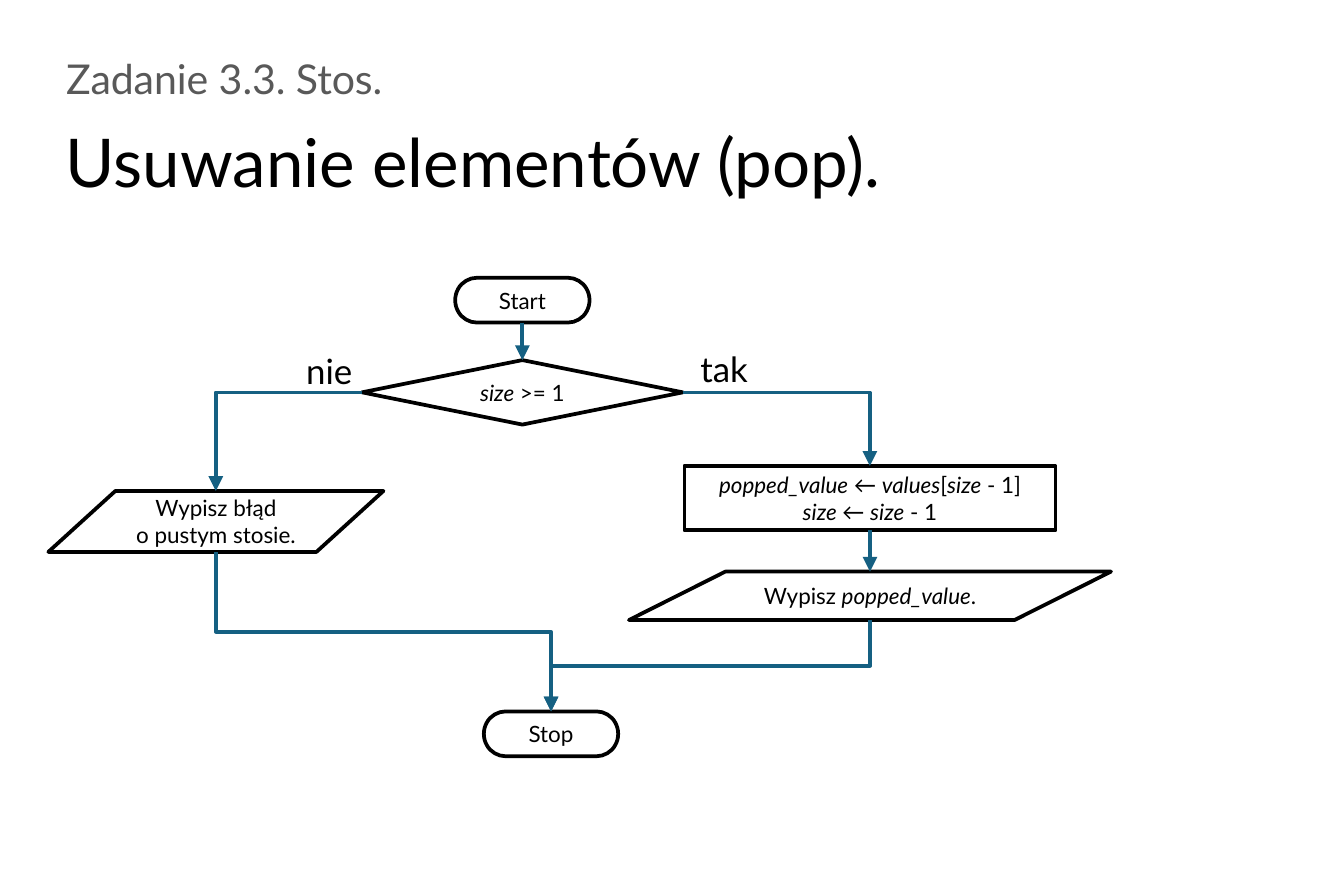
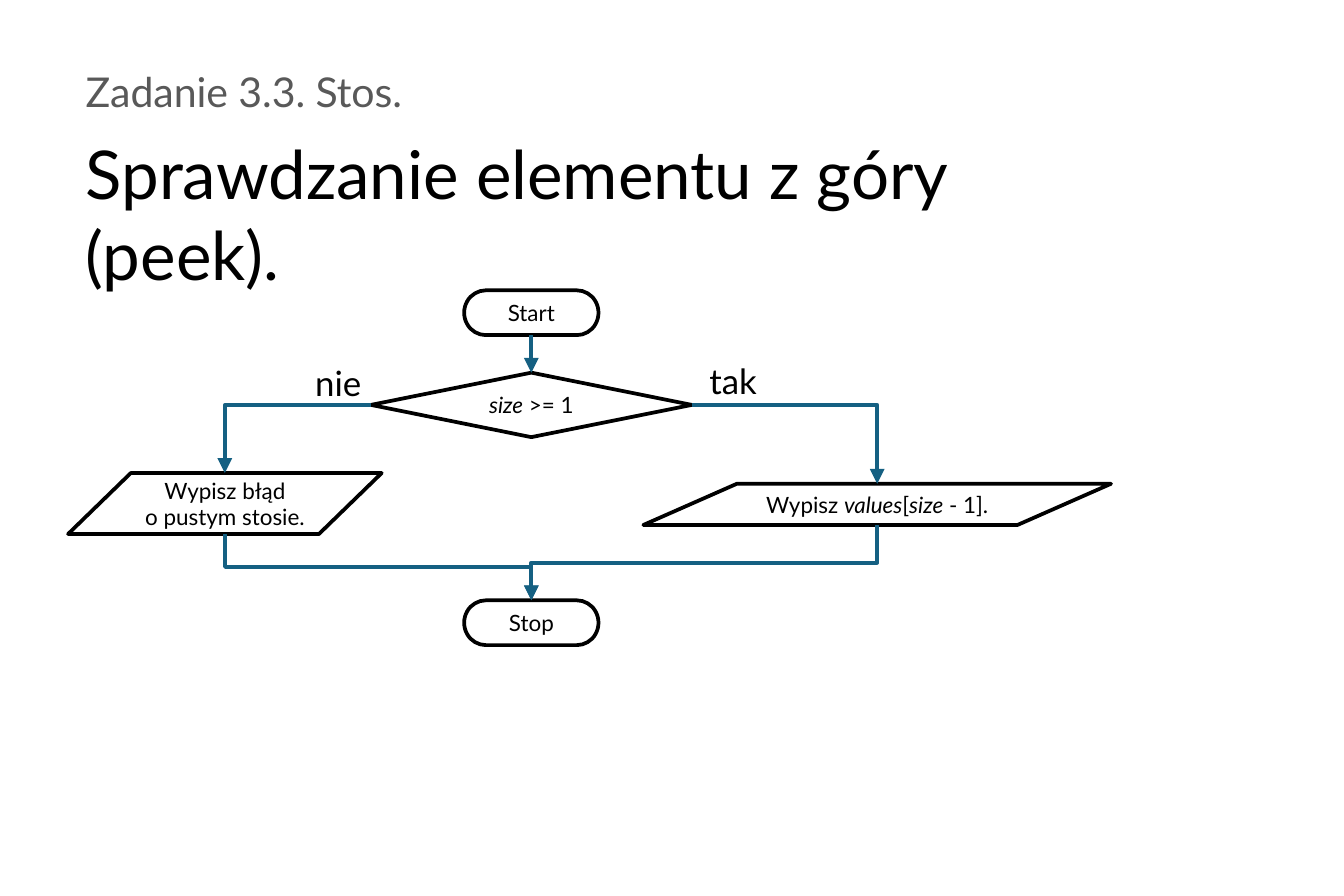
from lxml import etree
from pptx import Presentation
from pptx.dml.color import RGBColor
from pptx.enum.shapes import MSO_CONNECTOR, MSO_SHAPE
from pptx.enum.text import MSO_ANCHOR, PP_ALIGN
from pptx.oxml.ns import qn
from pptx.util import Inches, Pt

TERMINATOR = MSO_SHAPE.FLOWCHART_TERMINATOR
DECISION = MSO_SHAPE.FLOWCHART_DECISION
PROCESS = MSO_SHAPE.FLOWCHART_PROCESS
DATA = MSO_SHAPE.FLOWCHART_DATA
STRAIGHT = MSO_CONNECTOR.STRAIGHT
ELBOW = MSO_CONNECTOR.ELBOW
CENTER = PP_ALIGN.CENTER
LEFT = PP_ALIGN.LEFT
MIDDLE = MSO_ANCHOR.MIDDLE
TOP_SIDE, BOTTOM_SIDE = 0, 2

FONT = "Lato"
BLACK = "000000"
WHITE = "FFFFFF"
GRAY = "595959"
BLUE = "156082"
LINE_WIDTH = Pt(1.5)
TERMINATOR_WIDTH = 0.75
TERMINATOR_HEIGHT = 0.25
DECISION_WIDTH = 1.79
DECISION_HEIGHT = 0.36


def color(hex_value):
    return RGBColor.from_string(hex_value)


def write_text(frame, paragraphs, size, text_color, align):
    """Parts between asterisks become italic runs."""
    for index, content in enumerate(paragraphs):
        paragraph = frame.paragraphs[0] if index == 0 else frame.add_paragraph()
        paragraph.alignment = align
        for position, part in enumerate(content.split("*")):
            if part:
                run = paragraph.add_run()
                run.text = part
                run.font.name = FONT
                run.font.size = Pt(size)
                run.font.italic = position % 2 == 1
                run.font.color.rgb = color(text_color)


def add_label(slide, left, top, width, height, content, size, text_color=BLACK):
    label = slide.shapes.add_textbox(
        Inches(left), Inches(top), Inches(width), Inches(height))
    label.text_frame.word_wrap = True
    write_text(label.text_frame, [content], size, text_color, LEFT)


def add_step(slide, kind, left, top, width, height, *paragraphs):
    step = slide.shapes.add_shape(
        kind, Inches(left), Inches(top), Inches(width), Inches(height))
    step.shadow.inherit = False
    step.fill.solid()
    step.fill.fore_color.rgb = color(WHITE)
    step.line.color.rgb = color(BLACK)
    step.line.width = LINE_WIDTH
    step.text_frame.word_wrap = False
    step.text_frame.vertical_anchor = MIDDLE
    write_text(step.text_frame, paragraphs, 9, BLACK, CENTER)
    return step


def add_terminator(slide, left, top, content):
    return add_step(slide, TERMINATOR, left, top,
                    TERMINATOR_WIDTH, TERMINATOR_HEIGHT, content)


def add_arrow(slide, kind, x1, y1, x2, y2):
    arrow = slide.shapes.add_connector(kind, int(x1), int(y1), int(x2), int(y2))
    arrow.line.color.rgb = color(BLUE)
    arrow.line.width = LINE_WIDTH
    outline = arrow.line._get_or_add_ln()
    etree.SubElement(outline, qn("a:tailEnd"), type="triangle")
    etree.SubElement(arrow._element.spPr, qn("a:effectLst"))
    return arrow


def center_x(step):
    return step.left + step.width // 2


def bottom(step):
    return step.top + step.height


def connect_down(slide, source, target, join_target):
    arrow = add_arrow(slide, STRAIGHT, center_x(source), bottom(source),
                      center_x(target), target.top)
    arrow.begin_connect(source, BOTTOM_SIDE)
    if join_target:
        arrow.end_connect(target, TOP_SIDE)


def connect_branch(slide, decision, target):
    goes_right = center_x(target) > center_x(decision)
    corner = decision.left + (decision.width if goes_right else 0)
    arrow = add_arrow(slide, ELBOW, corner, decision.top + decision.height // 2,
                      center_x(target), target.top)
    arrow._element.spPr.find(qn("a:prstGeom")).set("prst", "bentConnector2")


def connect_merge(slide, source, stop):
    start_x, start_y = center_x(source), bottom(source)
    end_x, end_y = center_x(stop), stop.top
    middle_x, middle_y = (start_x + end_x) / 2, (start_y + end_y) / 2
    half_drop = (end_y - start_y) / 2
    half_run = abs(end_x - start_x) / 2
    goes_right = end_x > start_x
    reach = -half_drop if goes_right else half_drop
    arrow = add_arrow(slide, ELBOW, middle_x - reach, middle_y - half_run,
                      middle_x + reach, middle_y + half_run)
    quarter_turns = 3 if goes_right else 1
    arrow._element.spPr.find(qn("a:xfrm")).set("rot", str(quarter_turns * 5400000))


def add_heading(slide, left, top, width, title):
    add_label(slide, left, top, 1.99, 0.38, "Zadanie 3.3. Stos.", 16.5, GRAY)
    add_label(slide, left, top + 0.37, width, 0.56, title, 27)


def add_size_check(slide, left, top):
    start = add_terminator(slide, left, top, "Start")
    decision = add_step(
        slide, DECISION, left + (TERMINATOR_WIDTH - DECISION_WIDTH) / 2, top + 0.46,
        DECISION_WIDTH, DECISION_HEIGHT, "*size* >= 1")
    connect_down(slide, start, decision, True)
    add_label(slide, left - 0.93, top + 0.35, 0.52, 0.34, "nie", 14)
    add_label(slide, left + 1.27, top + 0.34, 0.52, 0.34, "tak", 14)
    return decision


def add_error_output(slide, left, top, width):
    return add_step(slide, DATA, left, top, width, 0.34,
                    "Wypisz błąd", "o pustym stosie.")


def connect_branches(slide, decision, error, first_step, result, stop):
    connect_branch(slide, decision, error)
    connect_branch(slide, decision, first_step)
    connect_merge(slide, error, stop)
    connect_merge(slide, result, stop)


def build_pop(slide):
    add_heading(slide, 0.27, 0.25, 4.77, "Usuwanie elementów (pop).")
    decision = add_size_check(slide, 2.54, 1.55)
    error = add_error_output(slide, 0.27, 2.74, 1.87)
    removal = add_step(slide, PROCESS, 3.82, 2.6, 2.07, 0.36,
                       "*popped_value* ← *values*[*size* - 1]",
                       "*size *← *size* - 1")
    result = add_step(slide, DATA, 3.51, 3.19, 2.69, 0.27, "Wypisz *popped_value*.")
    stop = add_terminator(slide, 2.7, 3.97, "Stop")
    connect_down(slide, removal, result, False)
    connect_branches(slide, decision, error, removal, result, stop)


def build_peek(slide):
    add_heading(slide, 0.38, 0.32, 6.14, "Sprawdzanie elementu z góry (peek).")
    decision = add_size_check(slide, 2.59, 1.62)
    error = add_error_output(slide, 0.38, 2.64, 1.75)
    result = add_step(slide, DATA, 3.59, 2.7, 2.61, 0.23,
                      "Wypisz *values*[*size* - 1].")
    stop = add_terminator(slide, 2.59, 3.35, "Stop")
    connect_branches(slide, decision, error, result, result, stop)


def main():
    deck = Presentation()
    deck.slide_width = Inches(7.5)
    deck.slide_height = Inches(5)
    blank = deck.slide_layouts[6]
    for build in (build_pop, build_peek):
        build(deck.slides.add_slide(blank))
    deck.save("out.pptx")


if __name__ == "__main__":
    main()
